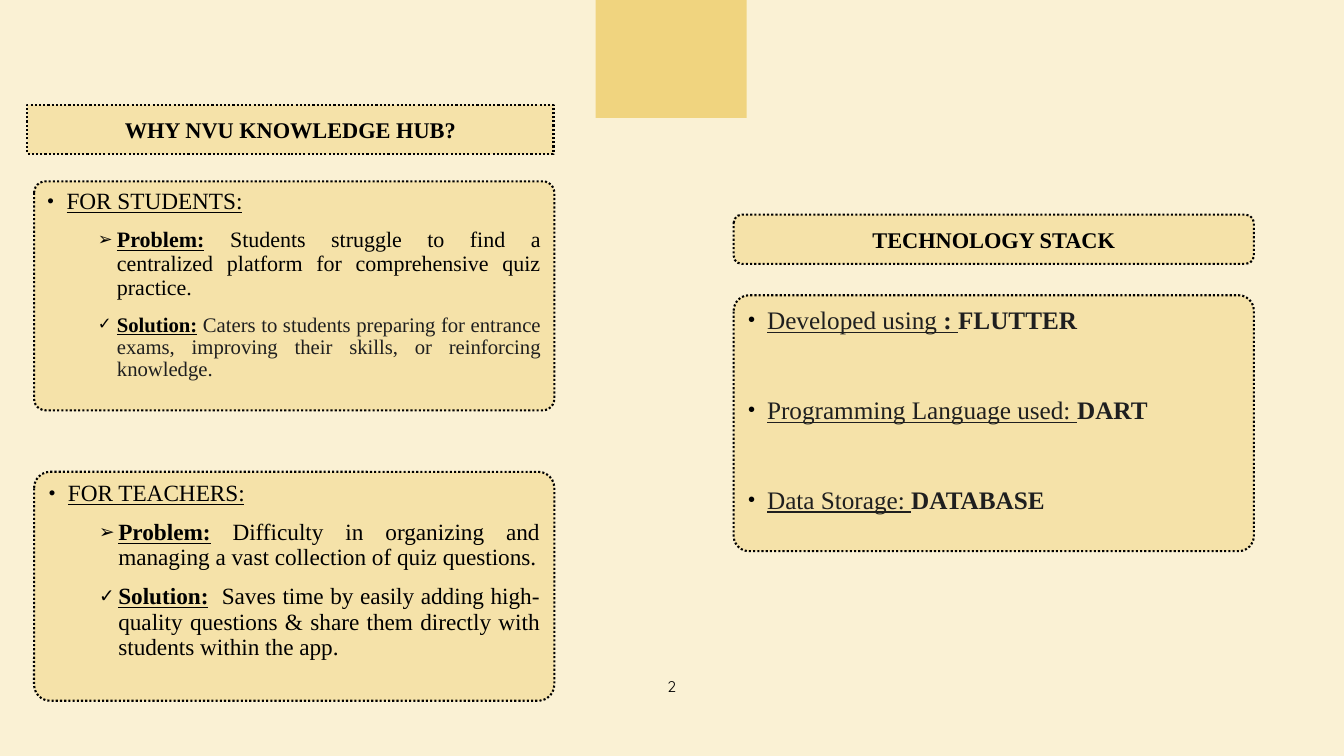
import pptx
import pptx.util
import pptx.dml.color
import pptx.enum.dml
import pptx.enum.shapes
import pptx.enum.text
import pptx.oxml
import pptx.oxml.ns

Cm, Pt = pptx.util.Cm, pptx.util.Pt
ALIGN = pptx.enum.text.PP_ALIGN
ANCHOR = pptx.enum.text.MSO_ANCHOR
SHAPE = pptx.enum.shapes.MSO_SHAPE

# Content: a paragraph is (bullet, level, size, runs), a run is (text, style, colour)
COLORS = {"background": "FAF1D4", "panel": "F5E2A9", "tab": "F0D47F",
          "black": "000000", "gray": "1F1F1F"}
STYLES = {
    "plain": {},
    "bold": {"bold": True},
    "underline": {"underline": True},
    "label": {"bold": True, "underline": True},
}
MAIN_HEADING = "WHY NVU KNOWLEDGE HUB?"
STACK_HEADING = "TECHNOLOGY STACK"
PAGE_NUMBER = "2"
STUDENTS = [
    ("•", 0, 16.6, [("FOR STUDENTS:", "underline", "black")]),
    ("➢", 1, 15.7, [
        ("Problem:", "label", "black"), (" ", "bold", "black"),
        ("Students struggle to find a centralized platform for comprehensive "
         "quiz practice.", "plain", "black")]),
    ("✓", 1, 14.8, [
        ("Solution:", "label", "black"), (" ", "bold", "black"),
        ("Caters to students preparing for entrance exams, improving their "
         "skills, or reinforcing knowledge.", "plain", "gray")]),
]
TEACHERS = [
    ("•", 0, 16.6, [("FOR TEACHERS:", "underline", "black")]),
    ("➢", 1, 16.6, [
        ("Problem:", "label", "black"), (" ", "bold", "black"),
        ("Difficulty in organizing and managing a vast collection of quiz "
         "questions.", "plain", "black")]),
    ("✓", 1, 16.6, [
        ("Solution:", "label", "black"), ("  ", "bold", "black"),
        ("Saves time by easily adding high-quality questions & share them "
         "directly with students within the app.", "plain", "black")]),
]
STACK = [
    ("•", 0, 18, [("Developed using ", "underline", "gray"),
                  (": ", "label", "gray"), ("FLUTTER", "bold", "gray")]),
    ("•", 0, 18, [("Programming Language used: ", "underline", "gray"),
                  ("DART", "bold", "gray")]),
    ("•", 0, 18, [("Data Storage: ", "underline", "gray"),
                  ("DATABASE", "bold", "gray")]),
]

# Layout in centimetres
LEFT_X, RIGHT_X = 0.86, 18.49
PANEL_WIDTH, PANEL_HEIGHT, HEADING_HEIGHT = 13.11, 5.77, 1.24
HANGING = 0.48
LEVEL_INDENT = (HANGING, 1.75)


def color(name):
    return pptx.dml.color.RGBColor.from_string(COLORS[name])


def place(shape, left, top, width, height):
    box = {"left": left, "top": top, "width": width, "height": height}
    for name, value in box.items():
        setattr(shape, name, Cm(value))


def style_panel(shape, box, corner=None):
    """Place a rounded panel with a dotted outline."""
    place(shape, *box)
    if shape.is_placeholder:
        shape._element.spPr.append(pptx.oxml.parse_xml(
            f'<a:prstGeom {pptx.oxml.ns.nsdecls("a")} prst="roundRect">'
            '<a:avLst/></a:prstGeom>'))
    if corner is not None:
        shape.adjustments[0] = corner
    shape.shadow.inherit = False
    shape.fill.solid()
    shape.fill.fore_color.rgb = color("panel")
    shape.line.color.rgb = color("black")
    shape.line.width = Pt(1.5)
    shape.line.dash_style = pptx.enum.dml.MSO_LINE.ROUND_DOT


def prepare_frame(shape, anchor):
    frame = shape.text_frame
    settings = {"word_wrap": True, "vertical_anchor": anchor,
                "auto_size": pptx.enum.text.MSO_AUTO_SIZE.NONE}
    for name, value in settings.items():
        setattr(frame, name, value)
    return frame


def add_run(paragraph, text, size, style, color_name, font="Times New Roman"):
    run = paragraph.add_run()
    run.text = text
    values = {"name": font, "size": Pt(size), "bold": False,
              "underline": False, **STYLES[style]}
    for name, value in values.items():
        setattr(run.font, name, value)
    run.font.color.rgb = color(color_name)
    return run


def write_line(shape, text, size, style, font="Times New Roman"):
    paragraph = prepare_frame(shape, ANCHOR.MIDDLE).paragraphs[0]
    paragraph.alignment = ALIGN.CENTER
    return add_run(paragraph, text, size, style, "black", font)


def add_bullet(paragraph, mark, level):
    properties = paragraph._p.get_or_add_pPr()
    properties.set("marL", str(Cm(LEVEL_INDENT[level])))
    properties.set("indent", str(-Cm(HANGING)))
    for tag, content in (
            ("buClr", f'><a:srgbClr val="{COLORS["black"]}"/></a:buClr>'),
            ("buSzPct", ' val="80000"/>'),
            ("buFont", ' typeface="Arial"/>'),
            ("buChar", f' char="{mark}"/>')):
        properties.append(pptx.oxml.parse_xml(
            f'<a:{tag} {pptx.oxml.ns.nsdecls("a")}{content}'))


def write_list(shape, items, line_spacing, gap):
    frame = prepare_frame(shape, ANCHOR.TOP)
    for index, (mark, level, size, runs) in enumerate(items):
        paragraph = frame.add_paragraph() if index else frame.paragraphs[0]
        values = {"level": level, "line_spacing": line_spacing,
                  "space_before": Pt(gap if index else 10),
                  "alignment": ALIGN.JUSTIFY if level else ALIGN.LEFT}
        for name, value in values.items():
            setattr(paragraph, name, value)
        add_bullet(paragraph, mark, level)
        for text, style, color_name in runs:
            add_run(paragraph, text, size, style, color_name)


def main():
    presentation = pptx.Presentation()
    presentation.slide_width, presentation.slide_height = Cm(33.87), Cm(19.05)
    slide = presentation.slides.add_slide(presentation.slide_layouts[3])
    slide.background.fill.solid()
    slide.background.fill.fore_color.rgb = color("background")
    shapes = slide.shapes

    # Tab at the top edge
    tab = shapes.add_shape(SHAPE.RECTANGLE, Cm(15.01), 0, Cm(3.81), Cm(2.97))
    tab.shadow.inherit = False
    tab.fill.solid()
    tab.fill.fore_color.rgb = color("tab")
    tab.line.fill.background()

    # Headings
    stack_heading = shapes.add_shape(SHAPE.ROUNDED_RECTANGLE, 0, 0, 0, 0)
    for shape, text, box in (
            (shapes.title, MAIN_HEADING, (0.69, 2.64, 13.26, HEADING_HEIGHT)),
            (stack_heading, STACK_HEADING,
             (RIGHT_X, 5.41, PANEL_WIDTH, HEADING_HEIGHT))):
        style_panel(shape, box)
        write_line(shape, text, 16, "bold")

    # Lists
    students, teachers = slide.placeholders[1], slide.placeholders[2]
    stack = shapes.add_shape(SHAPE.ROUNDED_RECTANGLE, 0, 0, 0, 0)
    for shape, items, left, top, height, corner, line_spacing, gap in (
            (students, STUDENTS, LEFT_X, 4.57, PANEL_HEIGHT, 0.05, 0.9, 10),
            (teachers, TEACHERS, LEFT_X, 11.89, PANEL_HEIGHT, 0.07, 0.9, 10),
            (stack, STACK, RIGHT_X, 7.44, 6.45, 0.06, 1.0, 42.5)):
        style_panel(shape, (left, top, PANEL_WIDTH, height), corner)
        write_list(shape, items, line_spacing, gap)

    # Page number
    number = shapes.add_textbox(Cm(15.37), Cm(15.52), Cm(3.12), Cm(3.53))
    run = write_line(number, PAGE_NUMBER, 11, "plain", "Quicksand")
    run.font._element.set("spc", "150")

    presentation.save("out.pptx")


if __name__ == "__main__":
    main()
